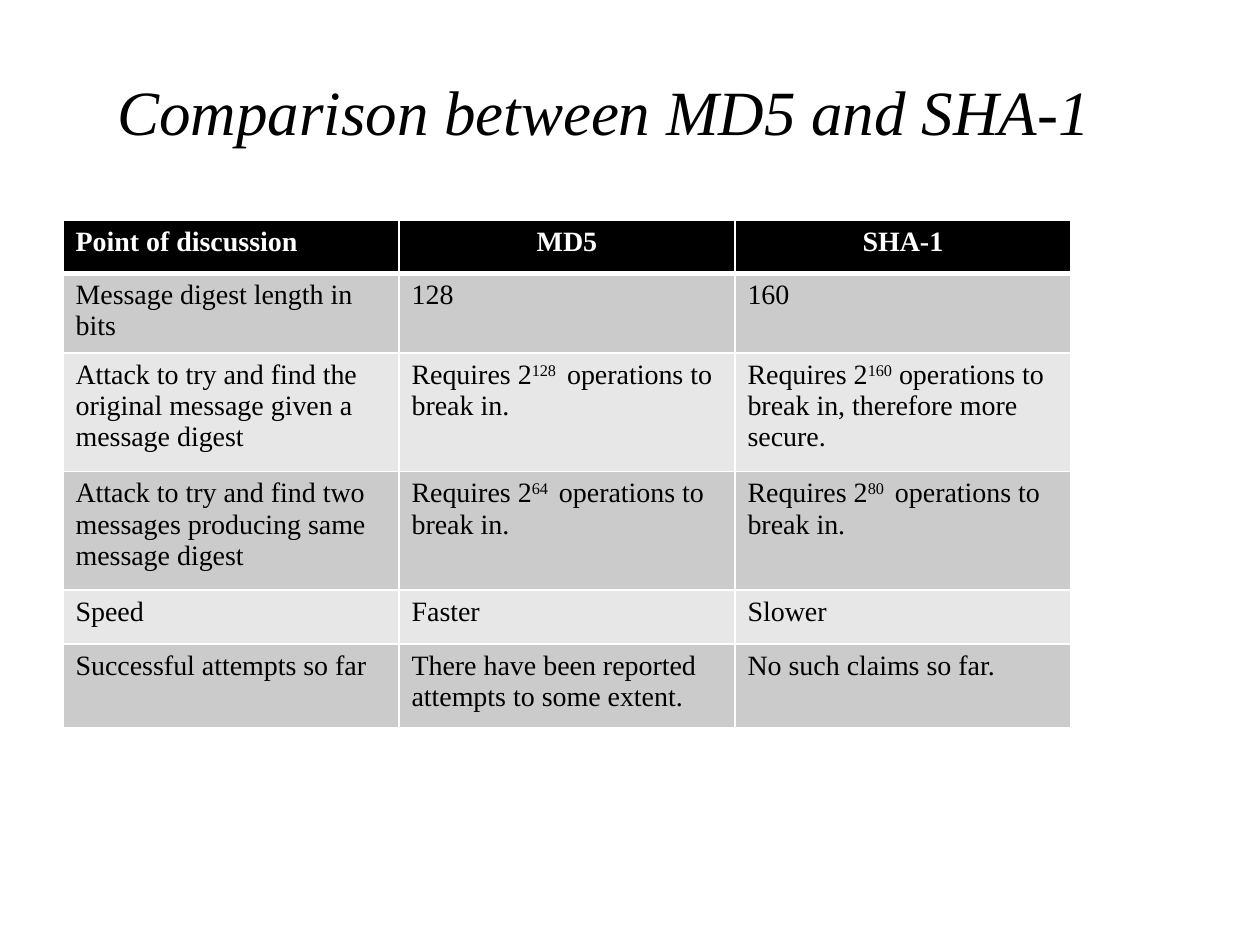
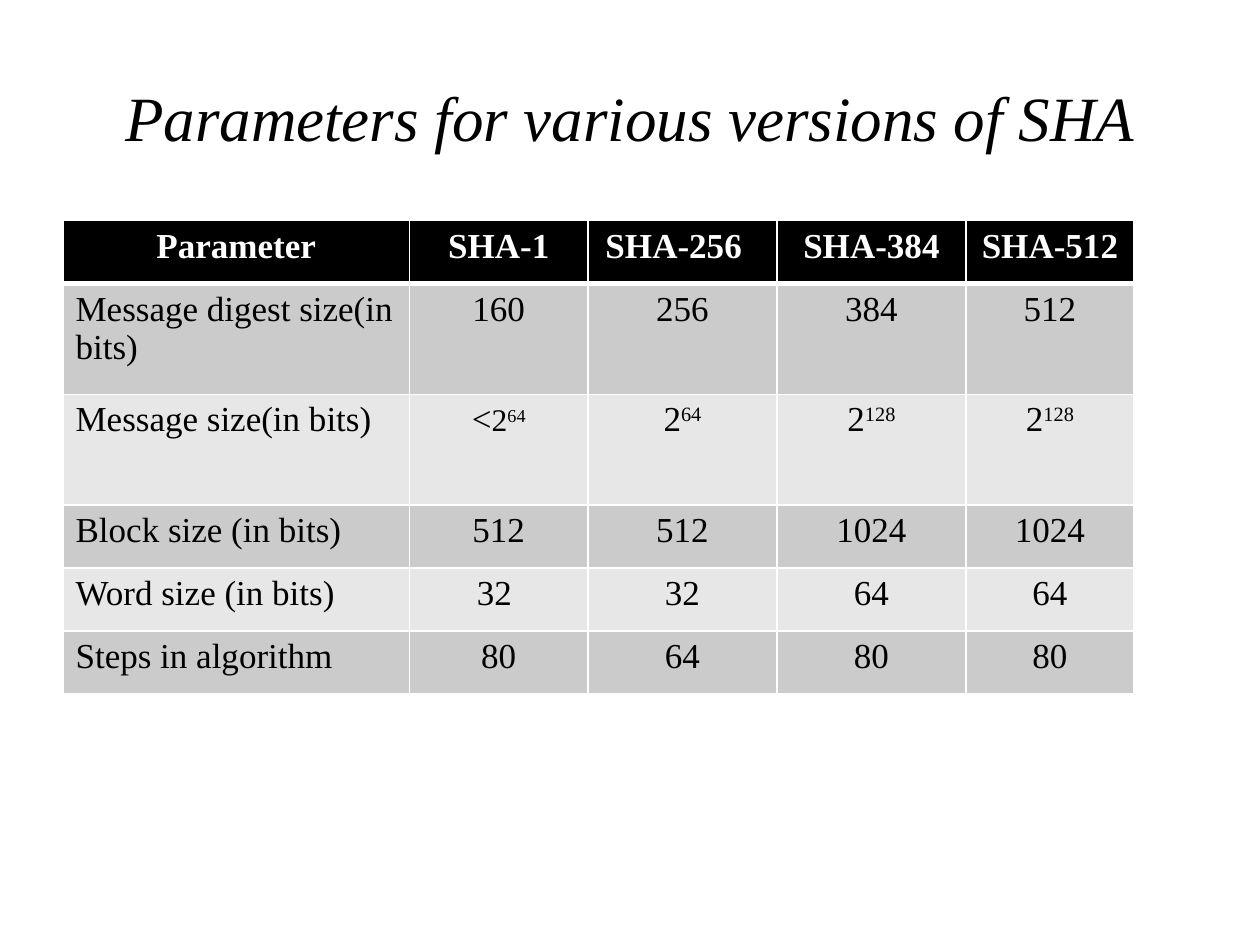
from dataclasses import dataclass

from lxml import etree
from pptx import Presentation
from pptx.dml.color import RGBColor
from pptx.enum.text import MSO_ANCHOR, PP_ALIGN
from pptx.oxml.ns import qn
from pptx.util import Inches, Pt

MIDDLE = MSO_ANCHOR.MIDDLE
LEFT, CENTER = PP_ALIGN.LEFT, PP_ALIGN.CENTER


@dataclass(frozen=True)
class Theme:
    face: str = "Times New Roman"
    ink: str = "000000"
    paper: str = "FFFFFF"
    bands: tuple = ("CBCBCB", "E7E7E7")
    title: int = 36
    thin: int = 1
    thick: int = 3


THEME = Theme()
WIDE, HIGH = 10, 7.5
EDGE, TOP = 0.5, 1.75

# "^" toggles superscript; "|" starts the part set in the small size.
SLIDES = [
    {
        "title": "Comparison between MD5 and SHA-1",
        "box": (0.25, 8.58),
        "size": 16,
        "small": 16,
        "wide": 8,
        "cols": (1, 1, 1),
        "rows": (0.42, 0.63, 0.94, 0.94, 0.43, 0.66),
        "head": (LEFT, CENTER, CENTER),
        "body": (LEFT, LEFT, LEFT),
        "pads": {},
        "cells": [
            ("Point of discussion", "MD5", "SHA-1"),
            ("Message digest length in bits", "128", "160"),
            ("Attack to try and find the original message given a message digest",
             "Requires 2^128 ^ operations to break in.",
             "Requires 2^160^ operations to break in, therefore more secure."),
            ("Attack to try and find two messages producing same message digest",
             "Requires 2^64 ^ operations to break in.",
             "Requires 2^80 ^ operations to break in."),
            ("Speed", "Faster", "Slower"),
            ("Successful attempts so far",
             "There have been reported attempts to some extent.",
             "No such claims so far."),
        ],
    },
    {
        "title": "Parameters for various versions of SHA",
        "box": (0.3, 9),
        "size": 20,
        "small": 18,
        "wide": 8.5,
        "cols": (33, 17, 18, 18, 16),
        "rows": (0.5, 0.88, 0.88, 0.5, 0.5, 0.5),
        "head": (CENTER,) * 5,
        "body": (LEFT,) + (CENTER,) * 4,
        "pads": {(0, 2): 0.24},
        "cells": [
            ("Parameter", "SHA-1", "SHA-256", "SHA-384", "SHA-512"),
            ("Message digest size(in bits)", "160", "256", "384", "512"),
            ("Message size(in bits)", "<|2^64^", "2^64^", "2^128^", "2^128^"),
            ("Block size (in bits)", "512", "512", "1024", "1024"),
            ("Word size (in bits)", "32 ", "32", "64", "64"),
            ("Steps in algorithm", "80", "64", "80", "80"),
        ],
    },
]


def add_run(para, text, size, color, bold=False, slant=False, sup=False):
    run = para.add_run()
    run.text = text
    font = run.font
    font.name, font.size = THEME.face, Pt(size)
    font.bold, font.italic = bold, slant
    font.color.rgb = RGBColor.from_string(color)
    if sup:
        run._r.get_or_add_rPr().set("baseline", "30000")


def add_title(slide, text, top, wide):
    box = slide.shapes.add_textbox(Inches(EDGE), Inches(top), Inches(wide), Inches(1.25))
    frame = box.text_frame
    frame.word_wrap = True
    frame.vertical_anchor = MIDDLE
    para = frame.paragraphs[0]
    para.alignment = CENTER
    add_run(para, text, THEME.title, THEME.ink, slant=True)


def add_rules(cell, row):
    props = cell._tc.get_or_add_tcPr()
    heavy = {"T": row == 1, "B": row == 0}
    for side in "LRTB":
        width = THEME.thick if heavy.get(side) else THEME.thin
        line = etree.SubElement(props, qn(f"a:ln{side}"), w=str(Pt(width)))
        fill = etree.SubElement(line, qn("a:solidFill"))
        etree.SubElement(fill, qn("a:srgbClr"), val=THEME.paper)


def fill_cell(cell, text, row, col, spec):
    head = row == 0
    add_rules(cell, row)
    cell.fill.solid()
    shade = THEME.ink if head else THEME.bands[(row - 1) % 2]
    cell.fill.fore_color.rgb = RGBColor.from_string(shade)
    if (row, col) in spec["pads"]:
        cell.margin_right = Inches(spec["pads"][row, col])
    para = cell.text_frame.paragraphs[0]
    para.alignment = spec["head" if head else "body"][col]
    color = THEME.paper if head else THEME.ink
    for part, size in zip(text.split("|"), (spec["size"], spec["small"])):
        for i, bit in enumerate(part.split("^")):
            if bit:
                add_run(para, bit, size, color, bold=head, sup=i % 2 == 1)


def add_grid(slide, spec):
    cells, cols, rows = spec["cells"], spec["cols"], spec["rows"]
    frame = slide.shapes.add_table(
        len(rows), len(cols), Inches(EDGE), Inches(TOP),
        Inches(spec["wide"]), Inches(sum(rows)))
    table = frame.table
    for col, share in zip(table.columns, cols):
        col.width = Inches(spec["wide"] * share / sum(cols))
    for row, high in zip(table.rows, rows):
        row.height = Inches(high)
    for r, texts in enumerate(cells):
        for c, text in enumerate(texts):
            fill_cell(table.cell(r, c), text, r, c, spec)


def main():
    deck = Presentation()
    deck.slide_width, deck.slide_height = Inches(WIDE), Inches(HIGH)
    for spec in SLIDES:
        slide = deck.slides.add_slide(deck.slide_layouts[6])
        add_title(slide, spec["title"], *spec["box"])
        add_grid(slide, spec)
    deck.save("out.pptx")


if __name__ == "__main__":
    main()
